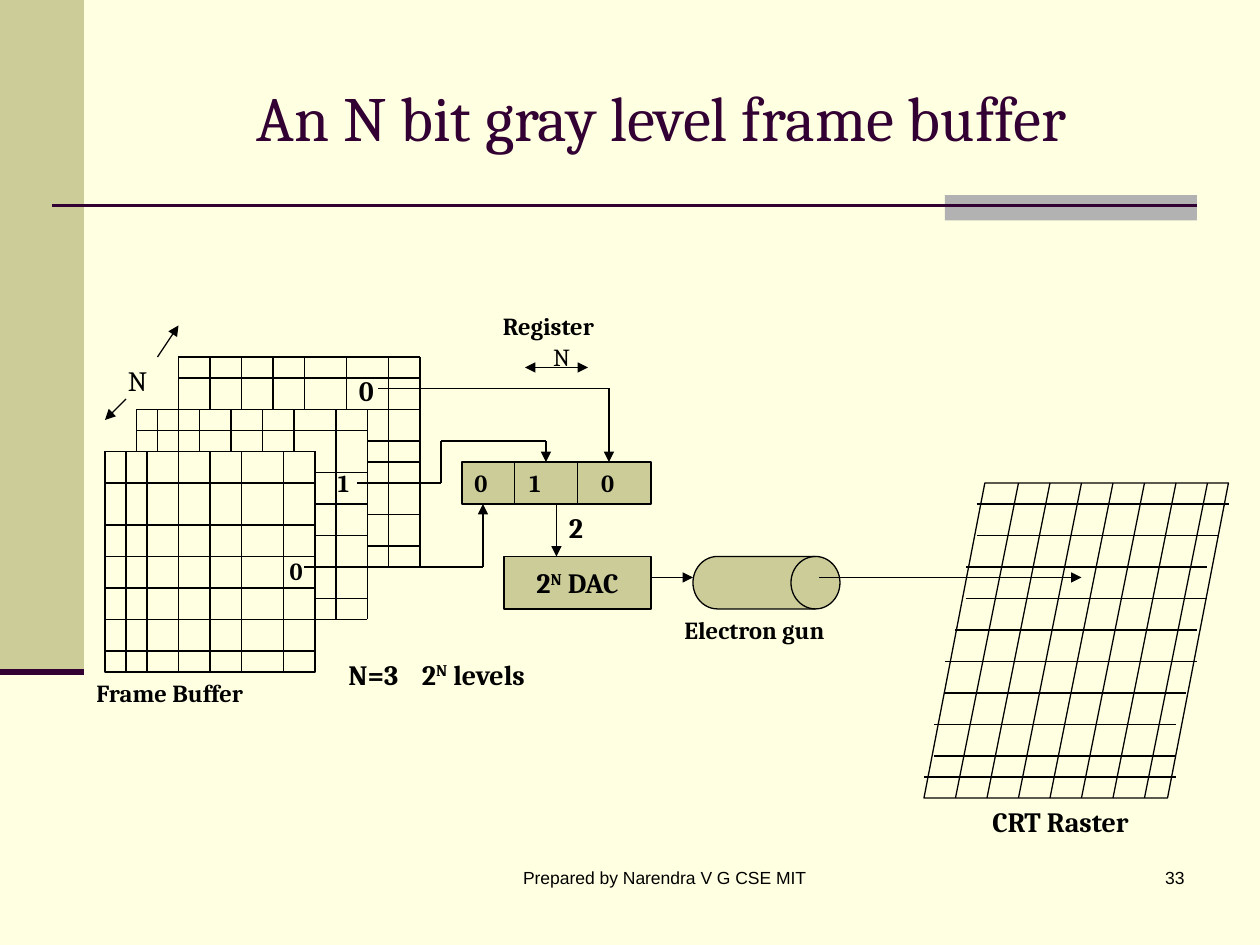
import pptx
import pptx.util
import pptx.dml.color
import pptx.enum.shapes
import pptx.enum.text
import pptx.oxml.ns
from itertools import pairwise
from lxml import etree

Pt = pptx.util.Pt
Shape = pptx.enum.shapes.MSO_SHAPE
Align = pptx.enum.text.PP_ALIGN
Anchor = pptx.enum.text.MSO_ANCHOR
qn = pptx.oxml.ns.qn

COLORS = {"back": "FFFFE1", "sand": "CCCC99", "gray": "B2B2B2",
          "plum": "330033", "ink": "000000"}


def color(name):
    return pptx.dml.color.RGBColor.from_string(COLORS[name])


class Page:
    """Holds the style and the current slide; all lengths are points."""
    font = "Cambria"
    thin = 0.75

    def __init__(self, deck):
        self.slide = deck.slides.add_slide(deck.slide_layouts[5])
        self.shapes = self.slide.shapes
        fill = self.slide.background.fill
        fill.solid()
        fill.fore_color.rgb = color("back")

    def words(self, frame, text, size, bold=True, align=Align.LEFT,
              ink="ink", font=None, tabs=()):
        """Fill a frame; text between ^ marks is superscript."""
        frame.word_wrap = True
        par = frame.paragraphs[0]
        par.alignment = align
        if tabs:
            stops = etree.SubElement(par._p.get_or_add_pPr(), qn("a:tabLst"))
            for pos in tabs:
                etree.SubElement(stops, qn("a:tab"), pos=str(Pt(pos)), algn="l")
        for i, part in enumerate(text.split("^")):
            run = par.add_run()
            run.text = part
            run.font.name = font or self.font
            run.font.size = Pt(size)
            run.font.bold = bold
            run.font.color.rgb = color(ink)
            if i % 2:
                run._r.get_or_add_rPr().set("baseline", "30000")

    def title(self, text, box):
        item = self.shapes.title
        item.left, item.top, item.width, item.height = map(Pt, box)
        frame = item.text_frame
        frame.auto_size = pptx.enum.text.MSO_AUTO_SIZE.NONE
        frame.vertical_anchor = Anchor.MIDDLE
        self.words(frame, text, 36, False, Align.CENTER, "plum")

    def label(self, text, box, size=14, **style):
        item = self.shapes.add_textbox(*map(Pt, box))
        self.words(item.text_frame, text, size, **style)

    def shape(self, kind, box, fill=None, edge=True):
        item = self.shapes.add_shape(kind, *map(Pt, box))
        item.shadow.inherit = False
        if fill:
            item.fill.solid()
            item.fill.fore_color.rgb = color(fill)
        else:
            item.fill.background()
        if edge:
            item.line.color.rgb = color("ink")
            item.line.width = Pt(self.thin)
        else:
            item.line.fill.background()
        item.text_frame.vertical_anchor = Anchor.MIDDLE
        return item

    def line(self, start, end, ink="ink", width=thin, head=False, tail=False):
        item = self.shapes.add_connector(
            pptx.enum.shapes.MSO_CONNECTOR.STRAIGHT, *map(Pt, start + end))
        item.line.color.rgb = color(ink)
        item.line.width = Pt(width)
        edge = item._element.spPr.find(qn("a:ln"))
        for tag, used in (("a:headEnd", head), ("a:tailEnd", tail)):
            if used:
                etree.SubElement(edge, qn(tag), type="triangle")
        etree.SubElement(item._element.spPr, qn("a:effectLst"))
        return item

    def wire(self, *points):
        """Bent line with an arrowhead at its last point."""
        for start, end in pairwise(points):
            self.line(start, end, tail=end == points[-1])

    def sheet(self, cols, rows, front=None):
        """Grid lines; the part behind the front sheet's corner stays open."""
        right, top = front or (0, 0)
        for x in cols:
            self.line((x, rows[0]), (x, top if x < right else rows[-1]))
        for y in rows:
            self.line((right if front and y >= top else cols[0], y), (cols[-1], y))


def main():
    deck = pptx.Presentation()
    deck.slide_width, deck.slide_height = Pt(720), Pt(540)
    page = Page(deck)

    # Side band and title rule
    page.shape(Shape.RECTANGLE, (0, 0, 48, 384), "sand", False)
    page.shape(Shape.RECTANGLE, (540, 111.5, 144, 14.5), "gray", False)
    page.line((30, 117.5), (684, 117.5), "plum", 1.5)
    page.line((0, 384), (48, 384), "plum", 3.5)
    page.title("An N bit gray level frame buffer", (72, 21.6, 612, 90))

    # Frame buffer: three stacked bit planes
    plane = page.shape(Shape.RECTANGLE, (60, 258, 120, 126))
    plane.text_frame.margin_top = Pt(14)
    page.words(plane.text_frame, "0", 14, align=Align.RIGHT)
    page.sheet((60, 72, 84, 102, 120, 138, 162, 180),
               (258, 276, 300, 318, 336, 354, 372, 384))
    page.sheet((78, 90, 102, 114, 132, 150, 168, 192, 210),
               (234, 246, 270, 288, 306, 324, 342, 354), (180, 258))
    page.sheet((102, 120, 138, 156, 174, 198, 222, 240),
               (204, 216, 234, 252, 264, 276, 294, 312, 324), (210, 234))
    page.label("1", (186, 264, 24, 24))
    page.label("0", (198, 210, 24, 27), 16)
    page.label("Frame Buffer", (48, 384, 138, 24))

    # Depth of the stack
    page.label("N", (66, 204, 30, 27), 16, bold=False)
    page.line((72, 228), (60, 240), tail=True)
    page.line((90, 204), (102, 186), tail=True)

    # Register
    reg = page.shape(Shape.RECTANGLE, (264, 264, 108, 24), "sand")
    page.words(reg.text_frame, "0\t1\t0", 14, tabs=(31.5, 72.5))
    for x in (294, 330):
        page.line((x, 264), (x, 288))
    page.label("Register ", (264, 174, 102, 24), align=Align.CENTER)
    page.label("N", (282, 192, 78, 24), bold=False, align=Align.CENTER)
    page.line((300, 210), (336, 210), head=True, tail=True)

    # Wires from the planes to the register
    page.wire((174, 324), (276, 324), (276, 288))
    page.wire((204, 276), (252, 276), (252, 252), (312, 252), (312, 264))
    page.wire((216, 222), (348, 222), (348, 264))

    # Converter and electron gun
    dac = page.shape(Shape.RECTANGLE, (288, 318, 84, 30), "sand")
    page.words(dac.text_frame, "2^N^ DAC", 16, align=Align.CENTER)
    feed = page.line((318, 288), (318, 318), tail=True)
    feed.begin_connect(reg, 2)
    page.label("2", (318, 288, 30, 27), 16)
    page.label("N=3\t2^N^ levels", (192, 372, 126, 46), 16, tabs=(42,))
    page.shape(Shape.FLOWCHART_DIRECT_ACCESS_STORAGE, (396, 318, 84, 30), "sand")
    page.label("Electron gun", (384, 348, 102, 41))

    # Raster
    page.shape(Shape.FLOWCHART_DATA, (528, 276, 174, 180))
    for x in range(582, 691, 18):
        page.line((x, 276), (x - 36, 456))
    rows = ((288, 558, 702), (306, 558, 696), (324, 552, 690), (342, 552, 690),
            (360, 546, 684), (378, 540, 684), (396, 540, 678), (414, 534, 672),
            (432, 534, 672), (444, 528, 672))
    for y, left, right in rows:
        page.line((left, y), (right, y))
    page.label("CRT Raster", (528, 456, 156, 27), 16, align=Align.CENTER)

    # Signal and beam
    page.wire((372, 330), (396, 330))
    page.wire((468, 330), (618, 330))

    # Footer
    foot = {"size": 10, "bold": False, "font": "Arial"}
    page.label("33", (534, 492, 150, 36), align=Align.RIGHT, **foot)
    page.label("Prepared by Narendra V G CSE MIT ", (264, 492, 234, 36),
               align=Align.CENTER, **foot)

    deck.save("out.pptx")


if __name__ == "__main__":
    main()
